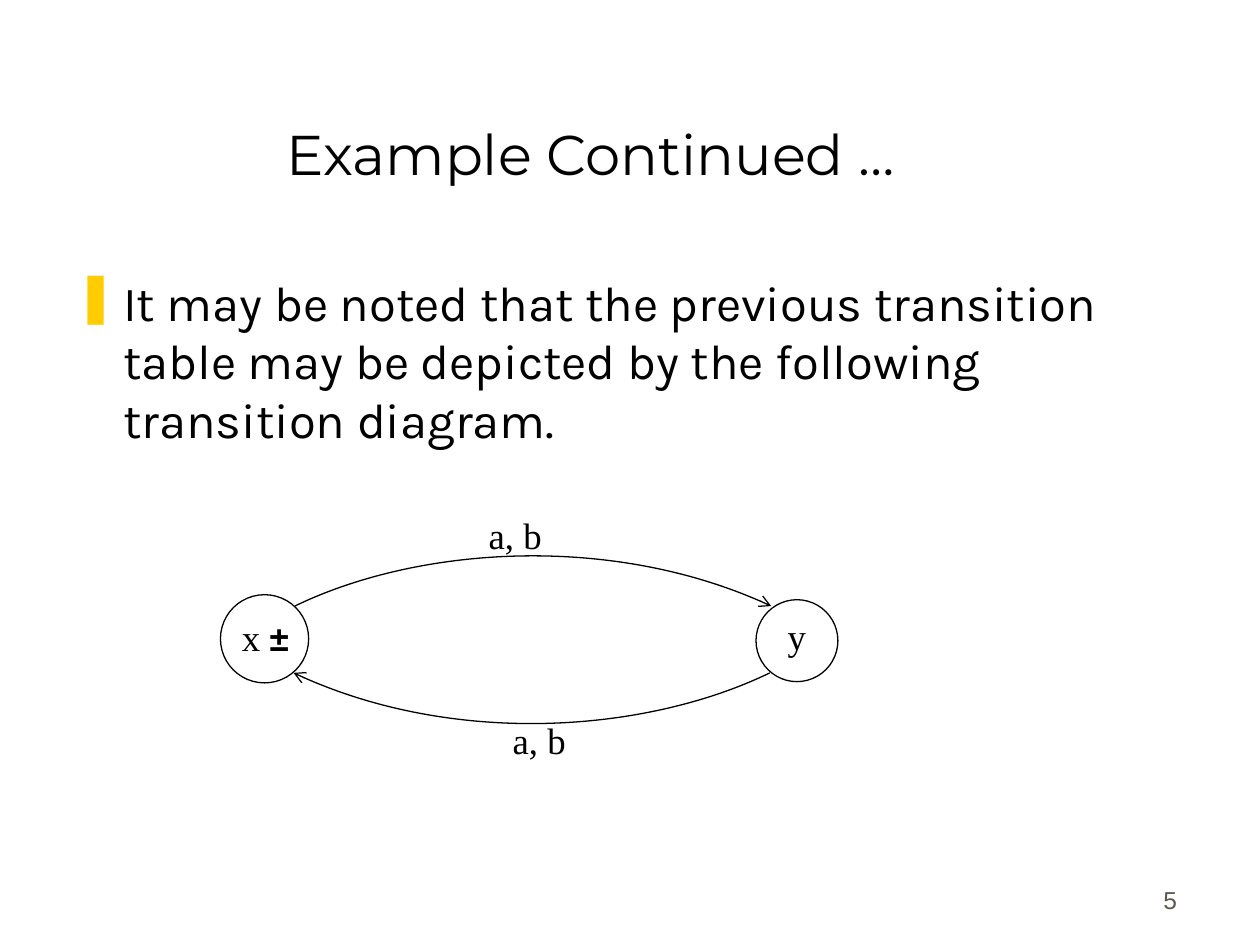
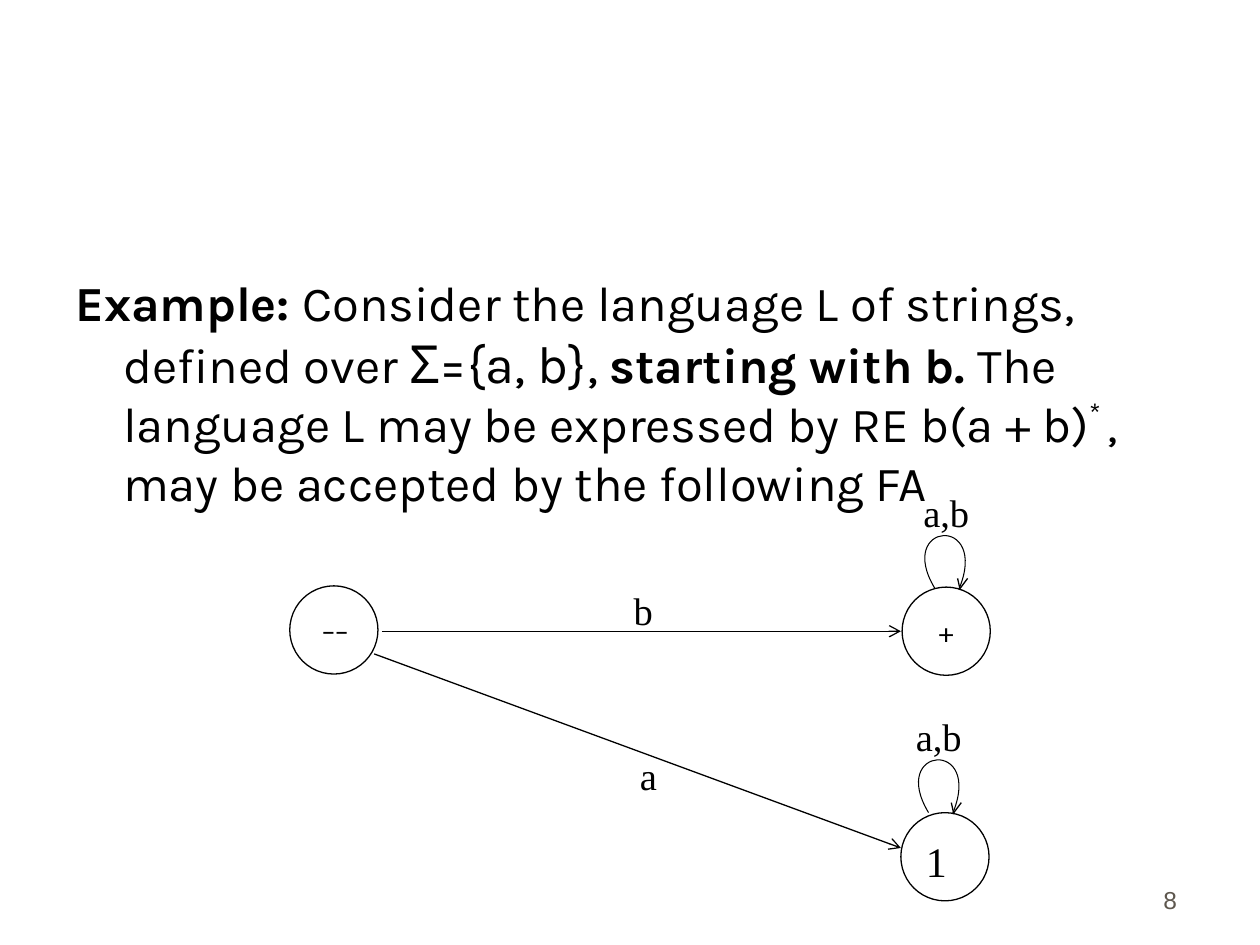
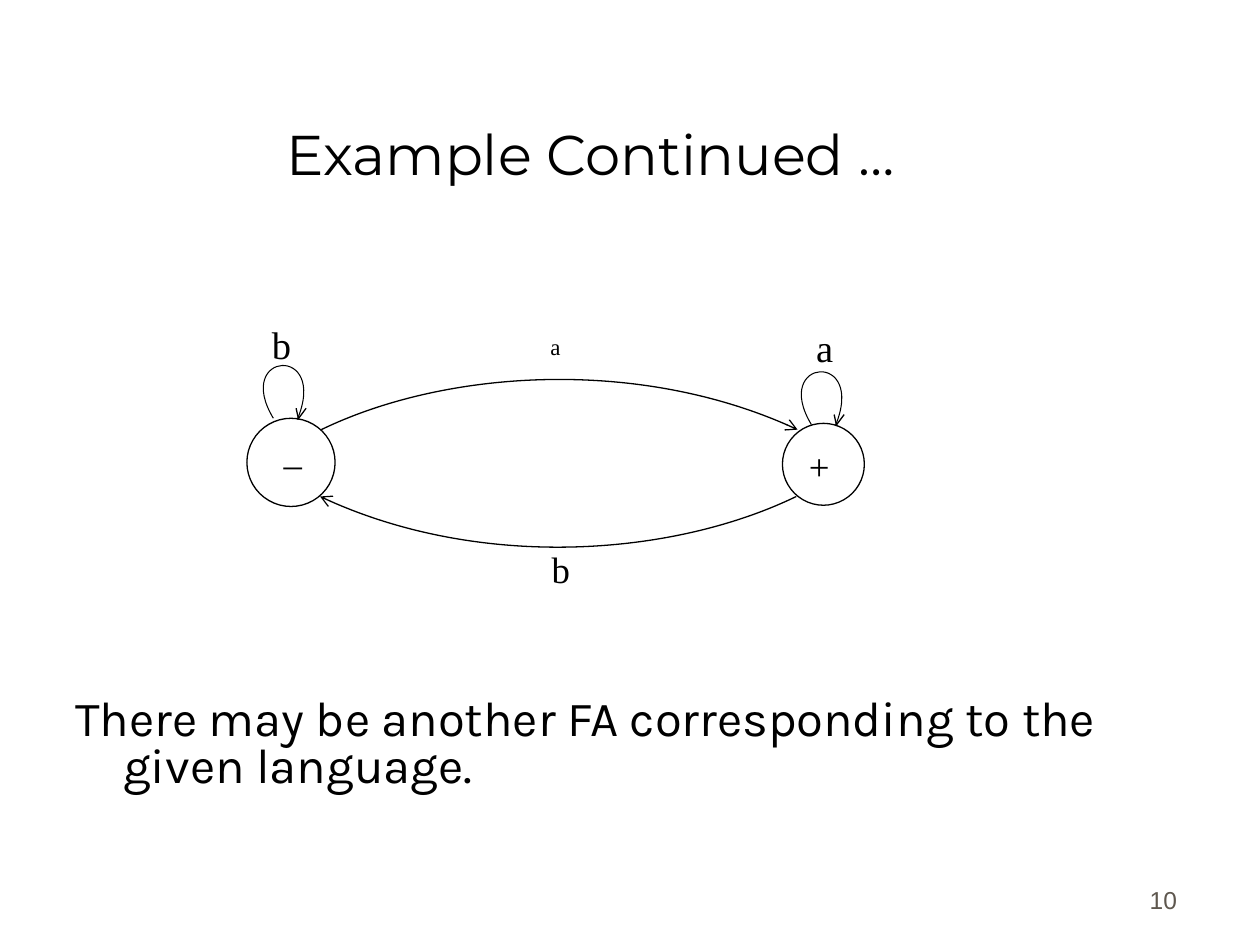
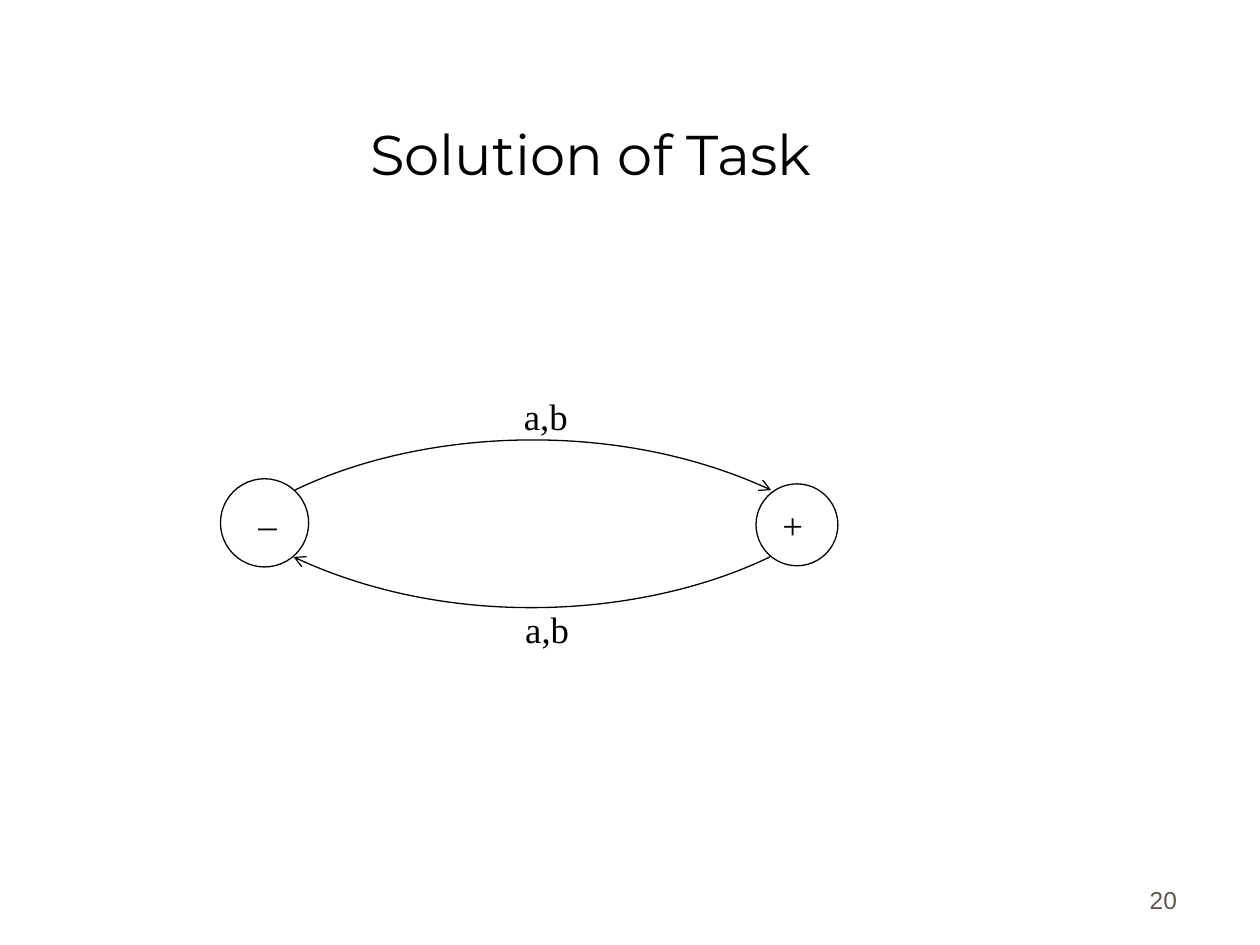
from lxml import etree
from pptx import Presentation
from pptx.dml.color import RGBColor
from pptx.enum.shapes import MSO_CONNECTOR, MSO_SHAPE
from pptx.enum.text import MSO_ANCHOR, PP_ALIGN
from pptx.oxml.ns import qn
from pptx.util import Emu, Pt

SCALE = 9144
BLANK = 6
STRAIGHT = MSO_CONNECTOR.STRAIGHT
ELLIPSE = MSO_SHAPE.OVAL
TOP, BOTTOM = MSO_ANCHOR.TOP, MSO_ANCHOR.BOTTOM
LEFT, CENTER, RIGHT = PP_ALIGN.LEFT, PP_ALIGN.CENTER, PP_ALIGN.RIGHT
COLORS = {"ink": "000000", "paper": "FFFFFF", "number": "5E574E", "bullet": "FFCC00"}
TITLE_FONT, BODY_FONT, LABEL_FONT, NUMBER_FONT = "Montserrat", "Karla", "Times New Roman", "Arial"
HANGING = 38


def px(length):
    return Emu(length * SCALE)


def color(name):
    return RGBColor.from_string(COLORS[name])


class Deck:
    """Holds the shared style and the current slide, and draws each kind of element."""

    def __init__(self):
        self.show = Presentation()
        self.show.slide_width, self.show.slide_height = px(1000), px(750)
        self.slide = None

    def add_slide(self, number, title=None):
        self.slide = self.show.slides.add_slide(self.show.slide_layouts[BLANK])
        self.text(str(number), 736, 681, 208, 50, size=14, font=NUMBER_FONT, ink="number",
                  align=RIGHT, anchor=BOTTOM)
        if title:
            self.text(title, 44, 25, 850, 125, size=32, font=TITLE_FONT, align=CENTER,
                      anchor=BOTTOM, insets=(10, 5, 10, 2))

    def text(self, content, left, top, width, height, size=21, font=LABEL_FONT, ink="ink",
             align=LEFT, anchor=TOP, insets=(10, 5, 10, 5), spacing=None, hanging=0, bullet=None):
        frame = self.slide.shapes.add_textbox(px(left), px(top), px(width), px(height)).text_frame
        frame.word_wrap = True
        frame.vertical_anchor = anchor
        (frame.margin_left, frame.margin_top,
         frame.margin_right, frame.margin_bottom) = map(px, insets)
        paragraph = frame.paragraphs[0]
        paragraph.alignment = align
        if spacing:
            paragraph.line_spacing = spacing
        properties = paragraph._p.get_or_add_pPr()
        if hanging:
            properties.set("marL", str(px(hanging)))
            properties.set("indent", str(-px(hanging)))
        if bullet:
            tint = etree.SubElement(properties, qn("a:buClr"))
            etree.SubElement(tint, qn("a:srgbClr"), val=COLORS["bullet"])
            etree.SubElement(properties, qn("a:buChar"), char=bullet)
        for words, change in [(content, {})] if isinstance(content, str) else content:
            run = paragraph.add_run()
            run.text = words
            run.font.size = Pt(change.get("size", size))
            run.font.name = change.get("font", font)
            run.font.bold = change.get("bold", False)
            run.font.color.rgb = color(ink)
            if "raised" in change:
                run.font._element.set("baseline", str(change["raised"] * 1000))

    def body(self, content, top, height, inset=10, **style):
        self.text(content, 50, top, 894, height, size=28, font=BODY_FONT,
                  insets=(10, inset, 10, 5), hanging=HANGING, **style)

    def state(self, left, top, size=70):
        circle = self.slide.shapes.add_shape(ELLIPSE, px(left), px(top), px(size), px(size))
        circle.shadow.inherit = False
        circle.fill.solid()
        circle.fill.fore_color.rgb = color("paper")
        self.stroke(circle)

    def state_label(self, content, left, top, **style):
        self.text(content, left, top, 98, 68, **{"insets": (32, 25, 10, 5), **style})

    def stroke(self, shape, weight=0.75, arrow=False):
        shape.line.color.rgb = color("ink")
        shape.line.width = Pt(weight)
        if arrow:
            etree.SubElement(shape.line._get_or_add_ln(), qn("a:tailEnd"), type="arrow")

    def outline(self, start, *points, weight=0.75, arrow=False, curved=False):
        builder = self.slide.shapes.build_freeform(*start, scale=SCALE)
        builder.add_line_segments(points, close=False)
        shape = builder.convert_to_shape()
        shape.shadow.inherit = False
        shape.fill.background()
        self.stroke(shape, weight, arrow)
        if curved:
            trace = shape._element.find(".//" + qn("a:path"))
            segments = trace.findall(qn("a:lnTo"))
            curve = etree.SubElement(trace, qn("a:cubicBezTo"))
            for segment in segments:
                curve.append(segment[0])
                trace.remove(segment)

    def arrow(self, start, end):
        line = self.slide.shapes.add_connector(STRAIGHT, *map(px, start + end))
        self.stroke(line, arrow=True)
        etree.SubElement(line._element.spPr, qn("a:effectLst"))

    def self_loop(self, left, top):
        def shifted(*points):
            return [(left + x, top + y) for x, y in points]

        self.outline(*shifted((0, 0), (-32, -53), (44, -59), (19, 1)), weight=0.6, curved=True)
        self.outline(*shifted((20, 0), (26, -8)))
        self.outline(*shifted((18, -8), (20, 1)))

    def two_state_cycle(self, left, top):
        def shifted(*points):
            return [(left + x, top + y) for x, y in points]

        self.state(left, top)
        self.state(left + 425, top + 4, 65)
        self.outline(*shifted((59, 9), (156, -38), (313, -49), (437, 9)), arrow=True, curved=True)
        self.outline(*shifted((436, 62), (339, 109), (183, 121), (58, 62)), arrow=True, curved=True)


def transition_diagram(deck):
    deck.add_slide(5, "Example Continued …")
    deck.body("It may be noted that the previous transition table may be depicted by the "
              "following transition diagram.", 206, 456, bullet="❚")
    deck.two_state_cycle(175, 472)
    deck.state_label([("x ", {}), ("±", {"size": 20, "font": NUMBER_FONT, "bold": True})], 160, 463)
    deck.state_label("y", 593, 462)
    deck.text("a, b", 378, 402, 98, 68)
    deck.text("a, b", 397, 565, 98, 68)


def starting_with_b(deck):
    deck.add_slide(8)
    deck.body([
        ("Example: ", {"bold": True}),
        ("Consider the language L of strings, defined over ", {}),
        ("Σ={a, b},", {"size": 30}),
        (" ", {}),
        ("starting with b. ", {"bold": True}),
        ("The language L may be expressed by RE b(a + b)", {}),
        ("* ", {"raised": 40}),
        (", may be accepted by the following FA", {}),
    ], 206, 519)
    for left, top in ((230, 465), (716, 466), (715, 645)):
        deck.state(left, top)
    for sign, left, top in (("––", 217, 464), ("+", 702, 465)):
        deck.state_label(sign, left, top, size=16, font=BODY_FONT, align=CENTER,
                         insets=(10, 23, 10, 5))
    deck.self_loop(742, 467)
    deck.self_loop(737, 645)
    deck.arrow((303, 501), (715, 501))
    deck.arrow((297, 519), (715, 673))
    for letters, left, top in (("a,b", 723, 383), ("b", 493, 461), ("a", 498, 592), ("a,b", 717, 561)):
        deck.text(letters, left, top, 137, 51, size=22)
    deck.text("1", 725, 658, 137, 51, size=24)


def another_automaton(deck):
    deck.add_slide(10, "Example Continued …")
    deck.body("There may be another FA corresponding to the given language.", 208, 456,
              inset=347, spacing=0.8)
    deck.two_state_cycle(196, 332)
    deck.state_label("–", 193, 325)
    deck.state_label("+", 610, 327)
    deck.self_loop(217, 332)
    deck.self_loop(644, 337)
    deck.text("b", 206, 250, 84, 56, size=22)
    deck.text("a", 638, 252, 84, 56, size=22)
    deck.text("a", 427, 263, 33, 33, size=13.1, spacing=0.8)
    deck.text("b", 428, 429, 39, 46)


def task_solution(deck):
    deck.add_slide(20, "Solution of Task")
    deck.two_state_cycle(175, 380)
    deck.state_label("–", 173, 373)
    deck.state_label("+", 589, 374)
    deck.text("a,b", 406, 308, 55, 46)
    deck.text("a,b", 407, 477, 55, 46)


def main():
    deck = Deck()
    for build in (transition_diagram, starting_with_b, another_automaton, task_solution):
        build(deck)
    deck.show.save("out.pptx")


if __name__ == "__main__":
    main()
